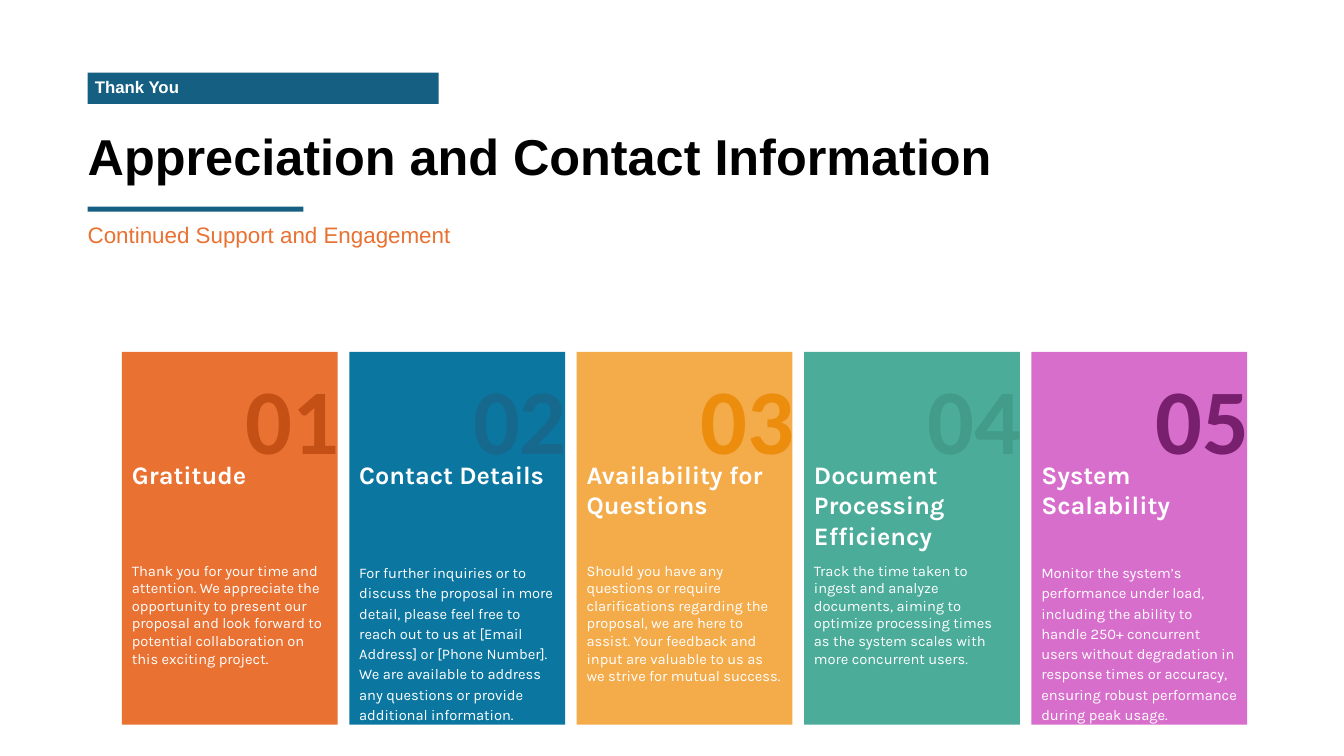
from collections import namedtuple

from pptx import Presentation
from pptx.dml.color import RGBColor
from pptx.enum.shapes import MSO_SHAPE as Shape
from pptx.enum.text import MSO_ANCHOR as Anchor, MSO_AUTO_SIZE as AutoSize
from pptx.util import Inches, Pt

WHITE = RGBColor(0xFF, 0xFF, 0xFF)
BLACK = RGBColor(0x00, 0x00, 0x00)
NAVY = RGBColor(0x15, 0x60, 0x82)
ORANGE = RGBColor(0xE9, 0x71, 0x32)
DARK_ORANGE = RGBColor(0xC5, 0x50, 0x15)
BLUE = RGBColor(0x0B, 0x76, 0xA0)
DARK_BLUE = RGBColor(0x17, 0x68, 0x8D)
AMBER = RGBColor(0xF4, 0xAB, 0x4A)
DARK_AMBER = RGBColor(0xEC, 0x8D, 0x0E)
GREEN = RGBColor(0x4A, 0xAC, 0x99)
DARK_GREEN = RGBColor(0x43, 0x9B, 0x8A)
PINK = RGBColor(0xD8, 0x6E, 0xCC)
PURPLE = RGBColor(0x78, 0x20, 0x6E)

Card = namedtuple("Card", "fill number_color title body spacing title_height body_height")
CARDS = [
    Card(ORANGE, DARK_ORANGE, "Gratitude",
         "Thank you for your time and attention. We appreciate the opportunity to present "
         "our proposal and look forward to potential collaboration on this exciting project.",
         None, 0.4, 0.98),
    Card(BLUE, DARK_BLUE, "Contact Details",
         "For further inquiries or to discuss the proposal in more detail, please feel free "
         "to reach out to us at [Email Address] or [Phone Number]. We are available to "
         "address any questions or provide additional information.",
         1.15, 0.4, 1.72),
    Card(AMBER, DARK_AMBER, "Availability for Questions",
         "Should you have any questions or require clarifications regarding the proposal, we "
         "are here to assist. Your feedback and input are valuable to us as we strive for "
         "mutual success.",
         None, 0.71, 1.34),
    Card(GREEN, DARK_GREEN, "Document Processing Efficiency",
         "Track the time taken to ingest and analyze documents, aiming to optimize processing "
         "times as the system scales with more concurrent users.",
         None, 1.01, 0.98),
    Card(PINK, PURPLE, "System Scalability",
         "Monitor the system’s performance under load, including the ability to handle 250+ "
         "concurrent users without degradation in response times or accuracy, ensuring robust "
         "performance during peak usage.",
         1.15, 0.71, 1.72),
]


def add_block(page, left, top, width, height, color):
    block = page.shapes.add_shape(
        Shape.RECTANGLE, Inches(left), Inches(top), Inches(width), Inches(height))
    block.shadow.inherit = False
    block.fill.solid()
    block.fill.fore_color.rgb = color
    block.line.fill.background()


def add_text(page, left, top, width, height, text, *, size, color, font="Arial",
             bold=False, inset=True, grow=True, anchor=Anchor.TOP, spacing=None, gap=None):
    box = page.shapes.add_textbox(Inches(left), Inches(top), Inches(width), Inches(height))
    frame = box.text_frame
    frame.word_wrap = True
    frame.auto_size = AutoSize.SHAPE_TO_FIT_TEXT if grow else AutoSize.NONE
    frame.vertical_anchor = anchor
    if not inset:
        frame.margin_left = frame.margin_right = 0
        frame.margin_top = frame.margin_bottom = 0
    para = frame.paragraphs[0]
    if spacing:
        para.line_spacing = spacing
    if gap:
        para.space_before = para.space_after = Pt(gap)
    span = para.add_run()
    span.text = text
    span.font.name = font
    span.font.size = Pt(size)
    span.font.bold = bold
    span.font.color.rgb = color


def add_header(page, left, top, width):
    # Label bar
    add_block(page, left, top, 3.48, 0.31, NAVY)
    add_text(page, left + 0.07, top - 0.07, 3.35, 0.42, "Thank You", size=12, color=WHITE,
             bold=True, inset=False, grow=False, anchor=Anchor.MIDDLE)
    # Title, rule and subtitle
    add_text(page, left, top + 0.46, width, 0.72, "Appreciation and Contact Information",
             size=36, color=BLACK, bold=True, inset=False, grow=False, anchor=Anchor.MIDDLE)
    add_block(page, left, top + 1.33, 2.14, 0.05, NAVY)
    add_text(page, left, top + 1.47, 5.08, 0.27, "Continued Support and Engagement",
             size=16, color=ORANGE, inset=False, gap=6)


def add_card(page, left, top, width, height, number, card):
    add_block(page, left, top, width, height, card.fill)
    add_text(page, left + 1.13, top + 0.05, 1.96, 1.21, f"{number:02}",
             size=66, color=card.number_color, font="Calibri", bold=True)
    add_text(page, left, top + 1.02, width, card.title_height, card.title,
             size=18, color=WHITE, font="Karla", bold=True)
    add_text(page, left, top + 2.03, width, card.body_height, card.body,
             size=10.5, color=WHITE, font="Karla", spacing=card.spacing)


def add_card_row(page, left, top, width, height):
    card_width = 2.14
    step = (width - card_width) / (len(CARDS) - 1)
    for index, card in enumerate(CARDS):
        add_card(page, left + index * step, top, card_width, height, index + 1, card)


def main():
    deck = Presentation()
    deck.slide_width, deck.slide_height = Inches(13.33), Inches(7.5)
    page = deck.slides.add_slide(deck.slide_layouts[6])
    add_header(page, 0.87, 0.72, 10.72)
    add_card_row(page, 1.21, 3.49, 11.16, 3.7)
    deck.save("out.pptx")


if __name__ == "__main__":
    main()
